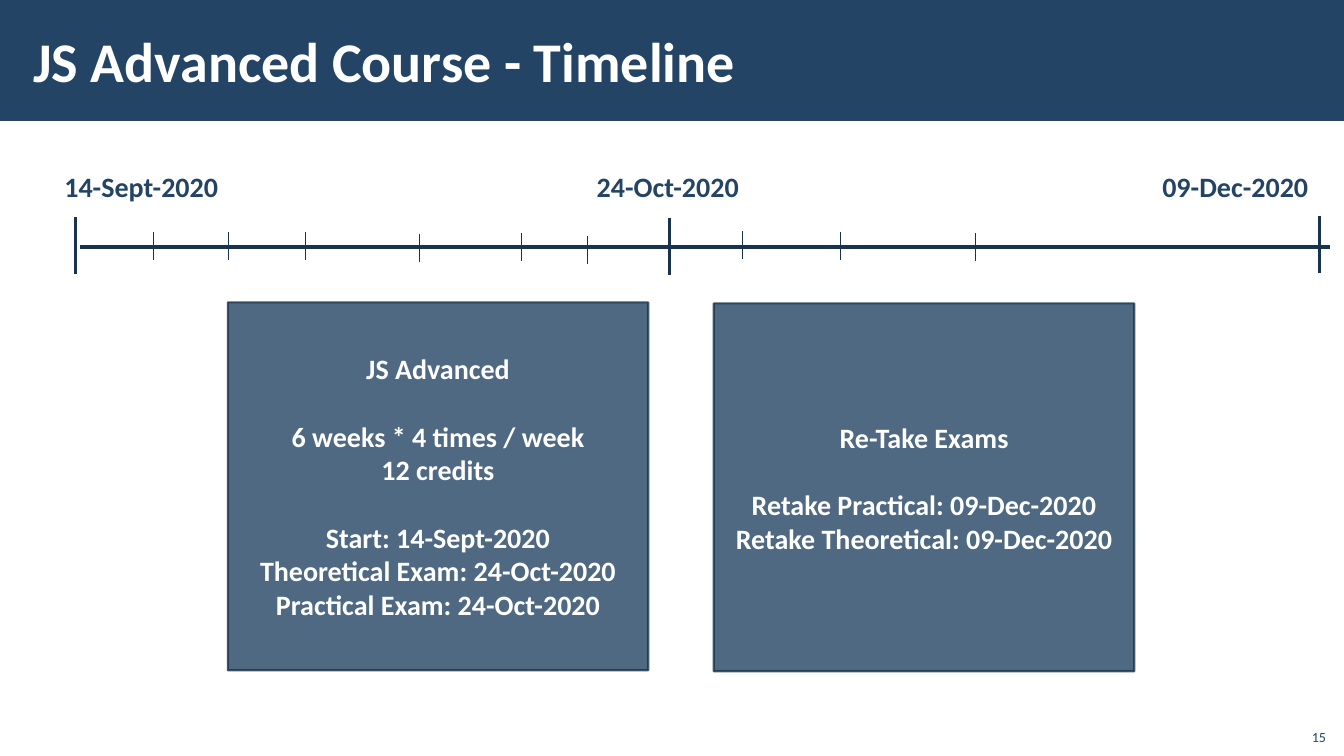
from lxml import etree
from pptx import Presentation
from pptx.dml.color import RGBColor
from pptx.enum.shapes import MSO_CONNECTOR, MSO_SHAPE
from pptx.enum.text import MSO_ANCHOR, PP_ALIGN
from pptx.oxml.ns import qn
from pptx.util import Inches, Pt

NAVY = RGBColor(0x23, 0x44, 0x65)
DARK_NAVY = RGBColor(0x1A, 0x33, 0x4C)
WHITE = RGBColor(0xFF, 0xFF, 0xFF)
FONT = "Calibri"
LEFT, CENTER, RIGHT = PP_ALIGN.LEFT, PP_ALIGN.CENTER, PP_ALIGN.RIGHT
TOP, MIDDLE, BOTTOM = MSO_ANCHOR.TOP, MSO_ANCHOR.MIDDLE, MSO_ANCHOR.BOTTOM
RECTANGLE = MSO_SHAPE.RECTANGLE
STRAIGHT = MSO_CONNECTOR.STRAIGHT
TITLE_ONLY = 5

AXIS_Y = 2.45
MILESTONE_HEIGHT, TICK_HEIGHT = 0.57, 0.28
MILESTONES = [(0.75, 2.15), (6.64, 2.16), (13.09, 2.14)]
TICKS = [(1.52, 2.3), (2.27, 2.3), (3.03, 2.3), (4.16, 2.32), (5.17, 2.31),
         (5.83, 2.34), (7.36, 2.29), (8.33, 2.3), (9.67, 2.31)]
DATES = [(0.54, 1.75, "14-Sept-2020"), (5.82, 1.63, "24-Oct-2020"),
         (11.43, 1.66, "09-Dec-2020")]
CARDS = [
    (2.26, 3, [["JS Advanced"],
               ["6 weeks * 4 times / week", "12 credits"],
               ["Start: 14-Sept-2020", "Theoretical Exam: 24-Oct-2020",
                "Practical Exam: 24-Oct-2020"]]),
    (7.08, 3.01, [["Re-Take Exams"],
                  ["Retake Practical: 09-Dec-2020",
                   "Retake Theoretical: 09-Dec-2020"]]),
]


def set_opacity(fill, percent):
    color = fill._xPr.find(qn("a:solidFill"))[0]
    etree.SubElement(color, qn("a:alpha")).set("val", str(percent * 1000))


class TimelineSlide:
    def __init__(self, deck):
        self.page = deck.slides.add_slide(deck.slide_layouts[TITLE_ONLY])

    def style(self, frame, size, color, bold=True, align=LEFT, anchor=TOP):
        frame.vertical_anchor = anchor
        for para in frame.paragraphs:
            para.alignment = align
            for span in para.runs:
                span.font.name = FONT
                span.font.size = Pt(size)
                span.font.bold = bold
                span.font.color.rgb = color

    def rectangle(self, left, top, width, height):
        box = self.page.shapes.add_shape(
            RECTANGLE, Inches(left), Inches(top), Inches(width), Inches(height))
        box.shadow.inherit = False
        box.fill.solid()
        box.fill.fore_color.rgb = NAVY
        return box

    def title(self, text):
        """Fill the title placeholder and put the header band behind it."""
        title = self.page.shapes.title
        title.left, title.top = Inches(0.21), Inches(0.11)
        title.width, title.height = Inches(10.63), Inches(0.97)
        frame = title.text_frame
        frame.text = text
        frame.margin_left = frame.margin_right = Inches(0.12)
        frame.margin_top = frame.margin_bottom = Inches(0.04)
        self.style(frame, 40, WHITE, anchor=MIDDLE)
        band = self.rectangle(0, 0, 13.34, 1.2)
        band.line.fill.background()
        title.element.addprevious(band.element)

    def line(self, x1, y1, x2, y2, width):
        line = self.page.shapes.add_connector(
            STRAIGHT, Inches(x1), Inches(y1), Inches(x2), Inches(y2))
        line.line.color.rgb = DARK_NAVY
        line.line.width = Pt(width)
        etree.SubElement(line.element.spPr, qn("a:effectLst"))

    def label(self, left, top, width, height, text, size, wrap=False, **look):
        box = self.page.shapes.add_textbox(
            Inches(left), Inches(top), Inches(width), Inches(height))
        box.text_frame.text = text
        box.text_frame.word_wrap = wrap
        self.style(box.text_frame, size, NAVY, **look)

    def card(self, left, top, groups):
        """Add a translucent card whose groups of lines are set apart."""
        box = self.rectangle(left, top, 4.17, 3.65)
        set_opacity(box.fill, 80)
        box.line.color.rgb = DARK_NAVY
        box.line.width = Pt(1.5)
        set_opacity(box.line.fill, 80)
        frame = box.text_frame
        frame.word_wrap = True
        frame.text = "\n".join(text for group in groups for text in group)
        self.style(frame, 20, WHITE, align=CENTER, anchor=MIDDLE)
        first = 0
        for group in groups[:-1]:
            first += len(group)
            frame.paragraphs[first].space_before = Pt(24)


def main():
    deck = Presentation()
    deck.slide_width, deck.slide_height = Inches(13.33), Inches(7.5)
    slide = TimelineSlide(deck)
    slide.title("JS Advanced Course - Timeline")
    slide.line(0.79, AXIS_Y, 13.19, AXIS_Y, 2.25)
    for marks, height, width in ((MILESTONES, MILESTONE_HEIGHT, 2.25),
                                 (TICKS, TICK_HEIGHT, 0.5)):
        for x, top in marks:
            slide.line(x, top, x, top + height, width)
    for left, width, date in DATES:
        slide.label(left, 1.63, width, 0.44, date, 20)
    for left, top, groups in CARDS:
        slide.card(left, top, groups)
    slide.label(12.85, 7.12, 0.4, 0.32, "15", 10, wrap=True,
                bold=False, align=RIGHT, anchor=BOTTOM)
    deck.save("out.pptx")


if __name__ == "__main__":
    main()
